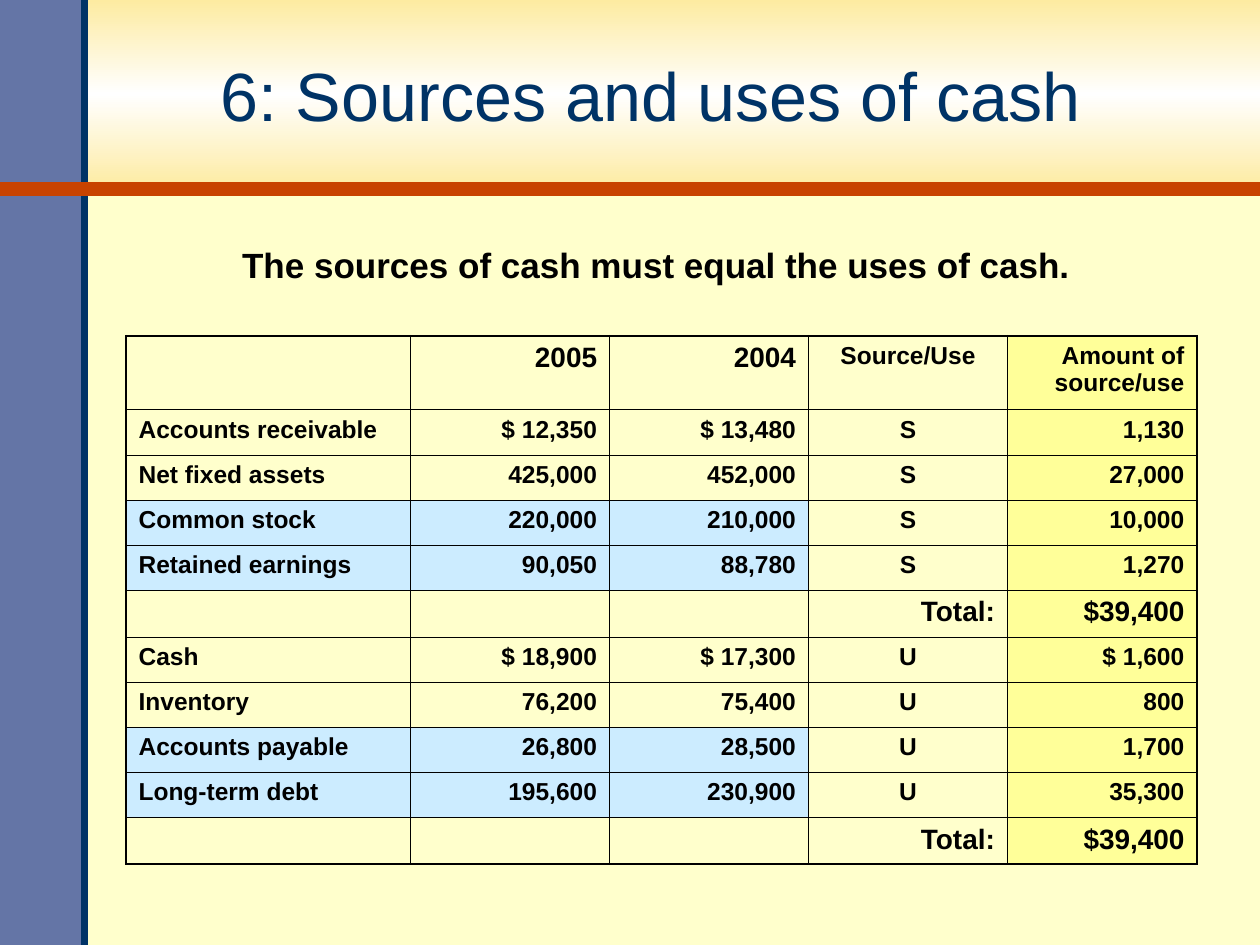
import copy
from dataclasses import dataclass

import lxml.etree
import pptx
import pptx.dml.color
import pptx.dml.fill
import pptx.enum.shapes
import pptx.enum.text
import pptx.oxml.ns
import pptx.shapes.autoshape
import pptx.slide
import pptx.table
import pptx.text.text
import pptx.util

Cm = pptx.util.Cm
Pt = pptx.util.Pt
qn = pptx.oxml.ns.qn
Align = pptx.enum.text.PP_ALIGN
Anchor = pptx.enum.text.MSO_ANCHOR


@dataclass(frozen=True)
class Theme:
    font: str = "Arial"
    page: str = "FFFFCC"
    navy: str = "003366"
    side_bar: str = "6475A6"
    rule: str = "C84300"
    header_edge: str = "FDEBA1"
    header_middle: str = "FFFFFF"
    ink: str = "000000"
    amount: str = "FFFF99"
    financing: str = "CCECFF"
    title_size: float = 39
    statement_size: float = 20
    strong_size: float = 16
    cell_size: float = 14
    inner_border: float = 0.45
    outer_border: float = 1.08


@dataclass(frozen=True)
class Entry:
    """One account; financing accounts are tinted in the first three columns."""
    account: str
    year_2005: str
    year_2004: str
    kind: str
    amount: str
    financing: bool = False

    def texts(self) -> tuple[str, ...]:
        return self.account, self.year_2005, self.year_2004, self.kind, self.amount


THEME = Theme()
TOTAL = "Total:"
WIDTH, HEIGHT = 25.4, 19.05
HEADER_HEIGHT, SIDE_WIDTH = 3.81, 1.7
COLUMN_WIDTHS = (5.74, 4.01, 4.01, 4.01, 3.82)
HEADING_ROW, ENTRY_ROW, TOTAL_ROW = 1.49, 0.91, 0.94
COLUMN_ALIGNMENTS = (Align.LEFT, Align.RIGHT, Align.RIGHT, Align.CENTER, Align.RIGHT)

ENTRIES = (
    Entry("", "2005", "2004", "Source/Use", "Amount of source/use"),
    Entry("Accounts receivable", "$ 12,350", "$ 13,480", "S", "1,130"),
    Entry("Net fixed assets", "425,000", "452,000", "S", "27,000"),
    Entry("Common stock", "220,000", "210,000", "S", "10,000", financing=True),
    Entry("Retained earnings", "90,050", "88,780", "S", "1,270", financing=True),
    Entry("", "", "", TOTAL, "$39,400"),
    Entry("Cash", "$ 18,900", "$ 17,300", "U", "$ 1,600"),
    Entry("Inventory", "76,200", "75,400", "U", "800"),
    Entry("Accounts payable", "26,800", "28,500", "U", "1,700", financing=True),
    Entry("Long-term debt", "195,600", "230,900", "U", "35,300", financing=True),
    Entry("", "", "", TOTAL, "$39,400"),
)


def rgb(value: str) -> pptx.dml.color.RGBColor:
    return pptx.dml.color.RGBColor.from_string(value)


def fill_solid(fill: pptx.dml.fill.FillFormat, color: str) -> None:
    fill.solid()
    fill.fore_color.rgb = rgb(color)


def write_text(frame: pptx.text.text.TextFrame, text: str, *, size: float,
               color: str = THEME.ink, bold: bool = False,
               alignment: Align = Align.LEFT, line_spacing: float = 1.0) -> None:
    frame.word_wrap = True
    paragraph = frame.paragraphs[0]
    paragraph.alignment = alignment
    paragraph.line_spacing = line_spacing
    if not text:
        # An empty cell keeps its row low only when its end mark has a size.
        lxml.etree.SubElement(paragraph._p, qn("a:endParaRPr"), sz=str(int(size * 100)))
        return
    run = paragraph.add_run()
    run.text = text
    run.font.name = THEME.font
    run.font.size = Pt(size)
    run.font.bold = bold
    run.font.color.rgb = rgb(color)


def add_rectangle(slide: pptx.slide.Slide, left: float, top: float, width: float,
                  height: float) -> pptx.shapes.autoshape.Shape:
    shape = slide.shapes.add_shape(pptx.enum.shapes.MSO_SHAPE.RECTANGLE,
                                   Cm(left), Cm(top), Cm(width), Cm(height))
    shape.shadow.inherit = False
    shape.line.fill.background()
    return shape


def add_rule(slide: pptx.slide.Slide, start: tuple[float, float],
             end: tuple[float, float], color: str, width: float) -> None:
    connector = slide.shapes.add_connector(
        pptx.enum.shapes.MSO_CONNECTOR.STRAIGHT,
        *(Cm(value) for value in (*start, *end)))
    connector.line.color.rgb = rgb(color)
    connector.line.width = Pt(width)
    lxml.etree.SubElement(connector._element.spPr, qn("a:effectLst"))


def add_header_gradient(slide: pptx.slide.Slide) -> None:
    fill = add_rectangle(slide, 0, 0, WIDTH, HEADER_HEIGHT).fill
    fill.gradient()
    fill.gradient_angle = 90
    first_stop = fill.gradient_stops[0]._gs
    first_stop.addnext(copy.deepcopy(first_stop))
    colors = (THEME.header_edge, THEME.header_middle, THEME.header_edge)
    for stop, position, color in zip(fill.gradient_stops, (0, 0.5, 1), colors):
        stop.position = position
        stop.color.rgb = rgb(color)


def add_backdrop(slide: pptx.slide.Slide) -> None:
    fill_solid(slide.background.fill, THEME.page)
    add_header_gradient(slide)
    side_bar = add_rectangle(slide, 0, 0, SIDE_WIDTH, HEIGHT)
    fill_solid(side_bar.fill, THEME.side_bar)
    add_rule(slide, (SIDE_WIDTH, HEIGHT), (SIDE_WIDTH, 0), THEME.navy, 4)
    add_rule(slide, (0, HEADER_HEIGHT), (WIDTH, HEADER_HEIGHT), THEME.rule, 8)


def set_borders(cell: pptx.table._Cell, row: int, column: int) -> None:
    """Draw a thin grid, heavier along the outside of the table."""
    outside = {"L": column == 0, "R": column == len(COLUMN_WIDTHS) - 1,
               "T": row == 0, "B": row == len(ENTRIES) - 1}
    properties = cell._tc.get_or_add_tcPr()
    for side, is_outside in outside.items():
        width = Pt(THEME.outer_border if is_outside else THEME.inner_border)
        line = lxml.etree.SubElement(properties, qn(f"a:ln{side}"), w=str(int(width)))
        solid = lxml.etree.SubElement(line, qn("a:solidFill"))
        lxml.etree.SubElement(solid, qn("a:srgbClr"), val=THEME.ink)


def cell_color(entry: Entry, column: int) -> str:
    if column == 4:
        return THEME.amount
    return THEME.financing if entry.financing and column < 3 else THEME.page


def add_cash_table(slide: pptx.slide.Slide) -> None:
    heights = [HEADING_ROW if row == 0 else TOTAL_ROW if entry.kind == TOTAL else ENTRY_ROW
               for row, entry in enumerate(ENTRIES)]
    table = slide.shapes.add_table(
        len(ENTRIES), len(COLUMN_WIDTHS), Cm(2.54), Cm(6.77),
        Cm(sum(COLUMN_WIDTHS)), Cm(sum(heights))).table
    table.first_row = table.horz_banding = False
    for column, width in zip(table.columns, COLUMN_WIDTHS):
        column.width = Cm(width)
    for row, (entry, height) in enumerate(zip(ENTRIES, heights)):
        table.rows[row].height = Cm(height)
        for column, text in enumerate(entry.texts()):
            cell = table.cell(row, column)
            strong = entry.kind == TOTAL and column > 2 or row == 0 and column in (1, 2)
            write_text(cell.text_frame, text, bold=True,
                       size=THEME.strong_size if strong else THEME.cell_size,
                       alignment=Align.RIGHT if text == TOTAL else COLUMN_ALIGNMENTS[column])
            set_borders(cell, row, column)
            fill_solid(cell.fill, cell_color(entry, column))


def main() -> None:
    presentation = pptx.Presentation()
    presentation.slide_width, presentation.slide_height = Cm(WIDTH), Cm(HEIGHT)
    slide = presentation.slides.add_slide(presentation.slide_layouts[6])
    add_backdrop(slide)

    title = slide.shapes.add_textbox(Cm(1.48), Cm(0.21), Cm(23.28), Cm(3.39)).text_frame
    title.vertical_anchor = Anchor.MIDDLE
    write_text(title, "6: Sources and uses of cash", size=THEME.title_size,
               color=THEME.navy, alignment=Align.CENTER)

    statement = slide.shapes.add_textbox(Cm(2.33), Cm(3.81), Cm(21.8), Cm(2.54)).text_frame
    statement.margin_top = Cm(1.27)
    write_text(statement, "The sources of cash must equal the uses of cash.",
               size=THEME.statement_size, bold=True, alignment=Align.CENTER,
               line_spacing=0.8)

    add_cash_table(slide)
    presentation.save("out.pptx")


if __name__ == "__main__":
    main()
